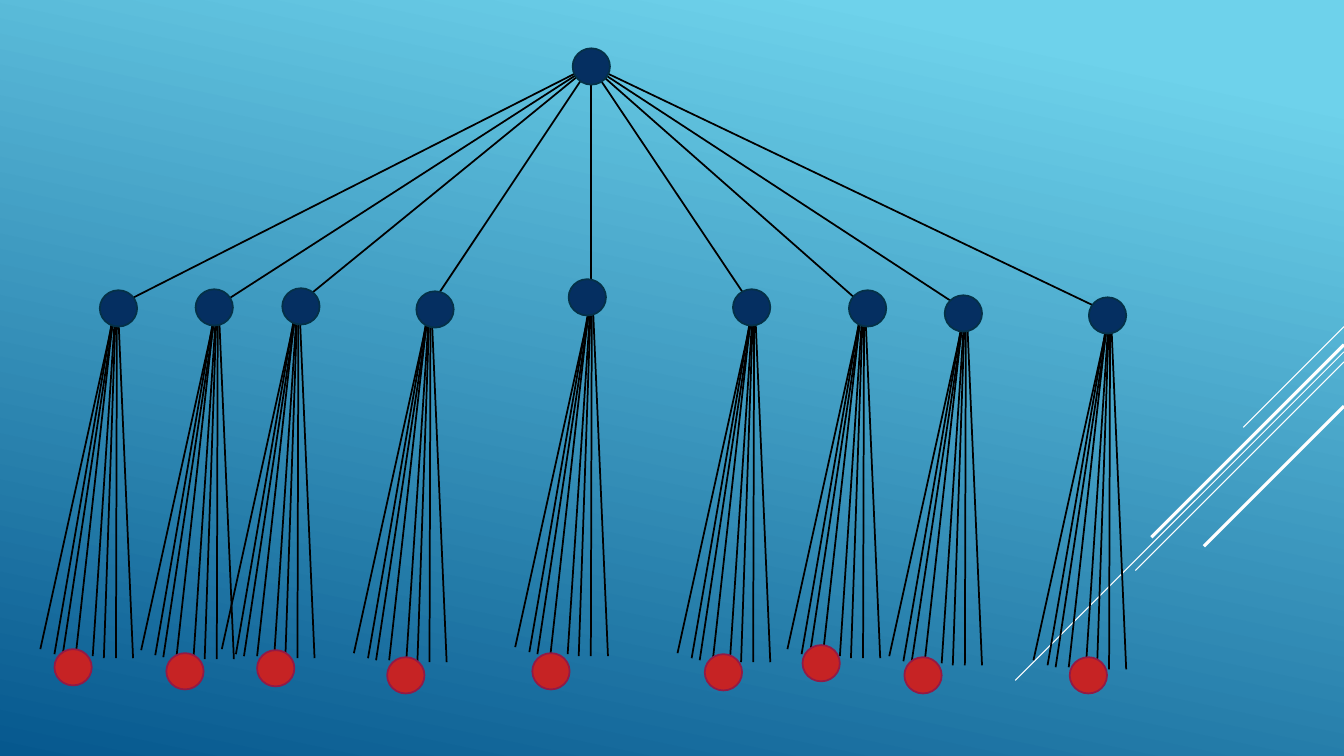
from lxml import etree
from pptx import Presentation
from pptx.dml.color import RGBColor
from pptx.enum.shapes import MSO_CONNECTOR, MSO_SHAPE
from pptx.oxml.ns import qn
from pptx.util import Pt

STRAIGHT = MSO_CONNECTOR.STRAIGHT
ELLIPSE = MSO_SHAPE.OVAL
PX = 9144
THEME = {
    "sky": RGBColor.from_string("6ED2EB"),
    "deep": RGBColor.from_string("06588E"),
    "stripe": RGBColor.from_string("FFFFFF"),
    "branch": RGBColor.from_string("000000"),
    "node": RGBColor.from_string("052F61"),
    "node_edge": RGBColor.from_string("043148"),
    "leaf": RGBColor.from_string("C62324"),
    "leaf_edge": RGBColor.from_string("921A46"),
    "thin": Pt(0.75),
    "medium": Pt(1.25),
    "thick": Pt(2.25),
}

deck = Presentation()
deck.slide_width = 1333 * PX
deck.slide_height = 750 * PX
page = deck.slides.add_slide(deck.slide_layouts[6])

backdrop = page.background.fill
backdrop.gradient()
backdrop.gradient_angle = 360 - 102
for stop, position, color in zip(backdrop.gradient_stops, (0.1, 1), ("sky", "deep")):
    stop.position = position
    stop.color.rgb = THEME[color]


def draw_line(start, end, color, width):
    line = page.shapes.add_connector(STRAIGHT, *(value * PX for value in (*start, *end)))
    line.line.color.rgb = THEME[color]
    line.line.width = THEME[width]
    etree.SubElement(line._element.spPr, qn("a:effectLst"))


def draw_circle(corner, kind):
    left, top = corner
    circle = page.shapes.add_shape(ELLIPSE, left * PX, top * PX, 37 * PX, 36 * PX)
    circle.shadow.inherit = False
    circle.fill.solid()
    circle.fill.fore_color.rgb = THEME[kind]
    circle.line.color.rgb = THEME[kind + "_edge"]
    circle.line.width = THEME["medium"]


STRIPES = [
    (324, 100, "thin"),
    (349, 326, "thin"),
    (359, 207, "thin"),
    (342, 191, "thick"),
    (403, 139, "thick"),
]
for top, reach, width in STRIPES:
    draw_line((1333, top), (1333 - reach, top + reach), "stripe", width)

ROOT = (586, 65)
ROOT_CORNER = (568, 48)
# columns: branch end, fan origin, node corner, leaf corner
COLUMNS = [
    ((115, 304), (115, 304), (99, 288), (54, 644)),
    ((215, 304), (215, 305), (194, 287), (165, 648)),
    ((293, 304), (295, 304), (280, 286), (255, 645)),
    ((424, 308), (426, 308), (413, 289), (384, 652)),
    ((586, 304), (586, 302), (564, 277), (528, 648)),
    ((748, 307), (747, 308), (727, 287), (699, 649)),
    ((855, 302), (856, 304), (842, 288), (796, 640)),
    ((956, 307), (957, 311), (937, 293), (897, 652)),
    ((1099, 310), (1100, 315), (1080, 295), (1061, 652)),
]
FAN = [
    ((-1, -2), (-61, 345)),
    ((0, 0), (-75, 340)),
    ((-1, 3), (-53, 347)),
    ((0, -5), (-23, 347)),
    ((-1, -5), (-40, 347)),
    ((0, -3), (-12, 349)),
    ((2, 0), (17, 349)),
    ((1, 0), (0, 349)),
]

for branch_end, origin, node, leaf in COLUMNS:
    draw_line(ROOT, branch_end, "branch", "medium")

for branch_end, (x, y), node, leaf in COLUMNS:
    for (start_x, start_y), (end_x, end_y) in FAN:
        draw_line((x + start_x, y + start_y), (x + end_x, y + end_y), "branch", "medium")

draw_circle(ROOT_CORNER, "node")
for branch_end, origin, node, leaf in COLUMNS:
    draw_circle(node, "node")
    draw_circle(leaf, "leaf")

deck.save("out.pptx")
